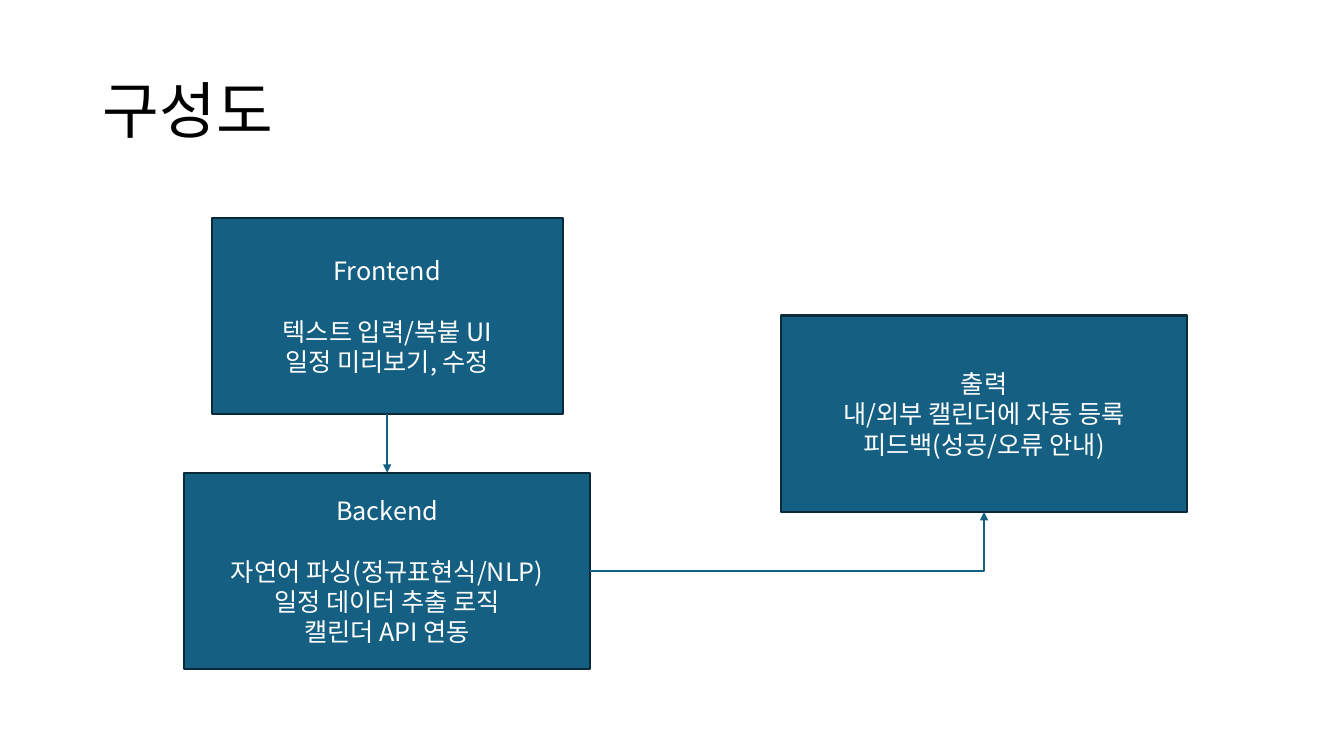
import pptx
import pptx.util
import pptx.dml.color
import pptx.enum.shapes
import pptx.enum.text
import pptx.oxml
import pptx.oxml.ns
import lxml.etree

FONT = "Noto Sans CJK KR"
BLUE, NAVY, WHITE, BLACK = "156082", "092A39", "FFFFFF", "000000"
In, Pt = pptx.util.Inches, pptx.util.Pt
qn = pptx.oxml.ns.qn
ALIGN = pptx.enum.text.PP_ALIGN
MIDDLE = pptx.enum.text.MSO_ANCHOR.MIDDLE
CONN = pptx.enum.shapes.MSO_CONNECTOR


def rgb(color):
    return pptx.dml.color.RGBColor.from_string(color)


def format_text(tf, size, color, align):
    tf.word_wrap = True
    tf.vertical_anchor = MIDDLE
    for p in tf.paragraphs:
        p.alignment = align
        for r in p.runs:
            r.font.size = Pt(size)
            r.font.name = FONT
            r.font.color.rgb = rgb(color)
            ea = lxml.etree.SubElement(r.font._element, qn("a:ea"))
            ea.set("typeface", FONT)


prs = pptx.Presentation()
prs.slide_width, prs.slide_height = In(13.33), In(7.5)
s = prs.slides.add_slide(prs.slide_layouts[5])

title = s.shapes.title
title.left, title.top, title.width, title.height = In(0.92), In(0.4), In(11.5), In(1.45)
title.text_frame.text = "구성도"
title.text_frame.paragraphs[0].line_spacing = 0.9
format_text(title.text_frame, 44, BLACK, ALIGN.LEFT)

LEFT_AXIS, RIGHT_AXIS = 3.84, 9.76
BOX_H = 1.95
boxes = [
    (LEFT_AXIS, 2.16, 3.48, 21.6,
     ["Frontend", "텍스트 입력/복붙 UI", "일정 미리보기, 수정"]),
    (LEFT_AXIS, 4.69, 4.03, 21.6,
     ["Backend", "자연어 파싱(정규표현식/NLP)", "일정 데이터 추출 로직", "캘린더 API 연동"]),
    (RIGHT_AXIS, 3.13, 4.03, 0,
     ["출력", "내/외부 캘린더에 자동 등록", "피드백(성공/오류 안내)"]),
]
shapes = []
for axis, top, width, heading_gap, lines in boxes:
    sp = s.shapes.add_shape(pptx.enum.shapes.MSO_SHAPE.RECTANGLE,
                            In(axis - width / 2), In(top), In(width), In(BOX_H))
    sp.shadow.inherit = False
    sp.fill.solid()
    sp.fill.fore_color.rgb = rgb(BLUE)
    sp.line.color.rgb = rgb(NAVY)
    sp.line.width = Pt(1.5)
    tf = sp.text_frame
    tf.text = "\n".join(lines)
    tf.paragraphs[0].space_after = Pt(heading_gap)
    format_text(tf, 18, WHITE, ALIGN.CENTER)
    shapes.append(sp)

frontend, backend, output = shapes
links = [
    (CONN.STRAIGHT, "line", frontend, 2, backend, 0),
    (CONN.ELBOW, "bentConnector2", backend, 3, output, 2),
]
for kind, preset, start, start_side, end, end_side in links:
    c = s.shapes.add_connector(kind, 0, 0, 0, 0)
    c.begin_connect(start, start_side)
    c.end_connect(end, end_side)
    c.line.color.rgb = rgb(BLUE)
    c.line.width = Pt(1.5)
    spPr = c._element.spPr
    spPr.find(qn("a:prstGeom")).set("prst", preset)
    lxml.etree.SubElement(spPr.find(qn("a:ln")), qn("a:tailEnd")).set("type", "triangle")
    lxml.etree.SubElement(spPr, qn("a:effectLst"))

prs.save("out.pptx")
